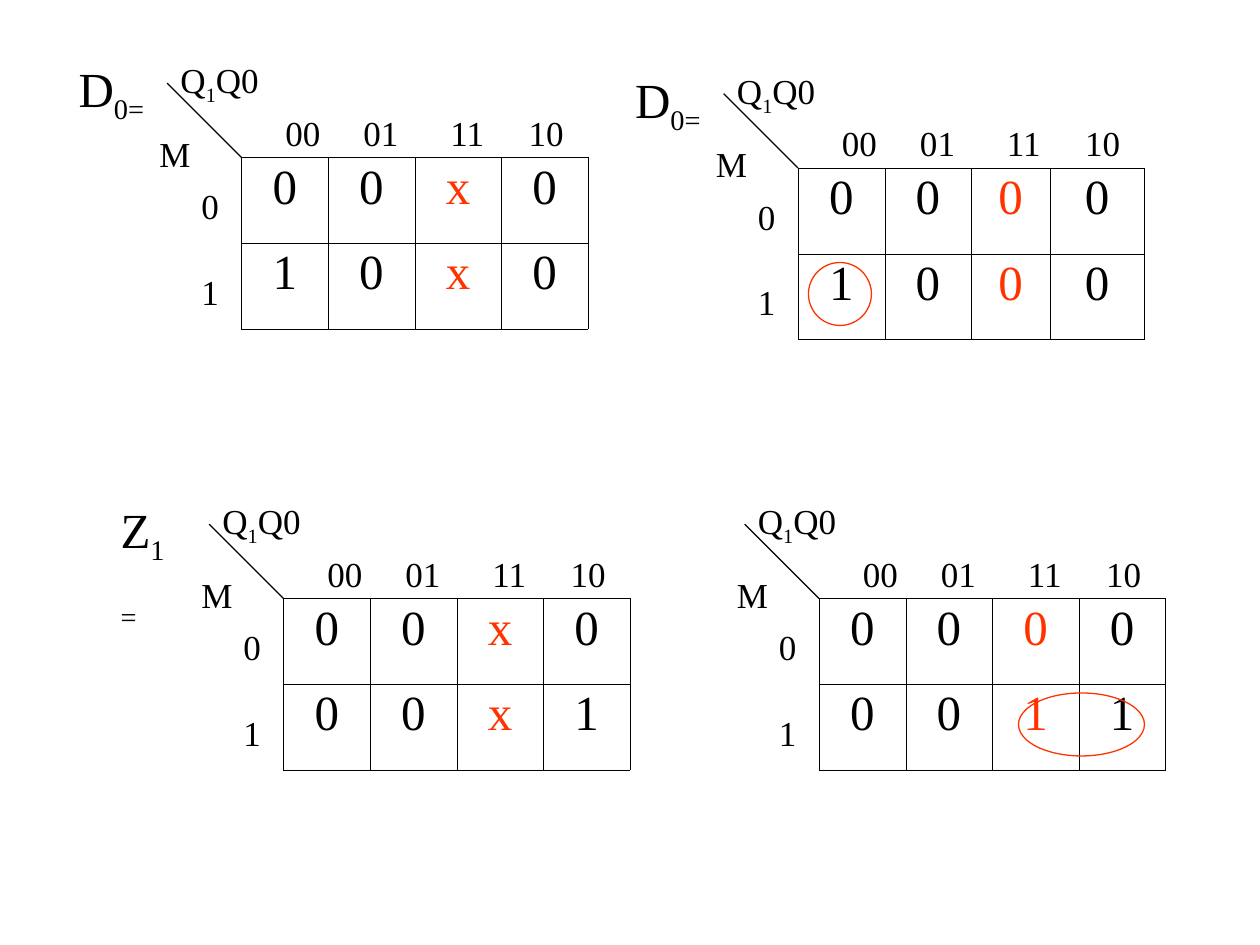
"""Builds a slide of four Karnaugh maps for D0 and Z1."""
from lxml import etree
from pptx import Presentation
from pptx.dml.color import RGBColor
from pptx.enum.shapes import MSO_CONNECTOR, MSO_SHAPE
from pptx.enum.text import PP_ALIGN
from pptx.oxml.ns import qn
from pptx.util import Inches, Pt

LINE, OVAL = MSO_CONNECTOR.STRAIGHT, MSO_SHAPE.OVAL
MID = PP_ALIGN.CENTER
THEME = {
    "font": "Times New Roman",
    "ink": RGBColor(0, 0, 0),
    "mark": RGBColor(0xFF, 0x33, 0x00),
    "big": Pt(28),
    "small": Pt(20),
    "rule": Pt(0.75),
    "edge": Pt(0.06),
}

deck = Presentation()
deck.slide_width, deck.slide_height = Inches(10), Inches(7.5)
slide = deck.slides.add_slide(deck.slide_layouts[6])
shapes = slide.shapes
UNIT = deck.slide_width / 120
ROW = 8.17
EVEN = [8.25] * 4


def grid(*steps):
    return [round(step * UNIT) for step in steps]


def style(para, size, tone="ink"):
    para.font.name = THEME["font"]
    para.font.size = THEME[size]
    para.font.color.rgb = THEME[tone]


Q = [[("Q", 0), ("1", -25), ("Q0", 0)]]
HEAD = [[("00\t01\t11\t10", 0)]]
SIDE = [[("0", 0)], [("1", 0)]]
TABS = [0.62, 1.31, 1.93]
MAPS = [
    (23, 15, EVEN, ("D", "0=", 8.6), ["00x0", "10x0"], None),
    (76, 16, [8.25, 8.25, 7.5, 9], ("D", "0=", 8.6), ["0000", "1000"], (77, 25, 6, 6)),
    (27, 57, EVEN, ("Z", "1=", 8), ["00x0", "00x1"], None),
    (78, 57, EVEN, None, ["0000", "0011"], (97, 66, 12, 6)),
]

for left, top, cols, name, rows, ring in MAPS:
    frame = shapes.add_table(2, 4, *grid(left, top, sum(cols), 2 * ROW))
    table = frame.table
    table.first_row = table.horz_banding = False
    for col, wide in zip(table.columns, grid(*cols)):
        col.width = wide
    for r, marks in enumerate(rows):
        table.rows[r].height = grid(ROW)[0]
        for c, mark in enumerate(marks):
            cell = table.cell(r, c)
            para = cell.text_frame.paragraphs[0]
            para.text = mark
            para.alignment = MID
            para.line_spacing = 0.93
            style(para, "big", "mark" if c == 2 else "ink")
            props = cell._tc.get_or_add_tcPr()
            for side in ("a:lnL", "a:lnR", "a:lnT", "a:lnB"):
                edge = etree.SubElement(props, qn(side), w=str(THEME["edge"]))
                fill = etree.SubElement(edge, qn("a:solidFill"))
                etree.SubElement(fill, qn("a:srgbClr"), val=str(THEME["ink"]))
            cell.fill.background()

    slash = shapes.add_connector(LINE, *grid(left, top, left - 7.08, top - 7.08))
    slash.line.color.rgb = THEME["ink"]
    slash.line.width = THEME["rule"]
    etree.SubElement(slash._element.spPr, qn("a:effectLst"))

    notes = [
        (-7, -10, 9.84, 5.76, "small", Q, []),
        (-9, -3, 5.4, 5.28, "small", [[("M", 0)]], []),
        (3, -5, 29, 5.28, "small", HEAD, TABS),
        (-5, 2, 4.08, 13.2, "small", SIDE, []),
    ]
    if name:
        base, sub, wide = name
        notes.append((-16.7, -10, wide, 7.56, "big", [[(base, 0), (sub, -25)]], []))
    for dx, dy, wide, high, size, lines, stops in notes:
        box = shapes.add_textbox(*grid(left + dx, top + dy, wide, high))
        text = box.text_frame
        text.word_wrap = bool(stops)
        for i, parts in enumerate(lines):
            para = text.add_paragraph() if i else text.paragraphs[0]
            if i:
                para.space_before = Pt(25)
            if stops:
                tabs = etree.SubElement(para._p.get_or_add_pPr(), qn("a:tabLst"))
                for stop in stops:
                    etree.SubElement(tabs, qn("a:tab"), pos=str(Inches(stop)), algn="l")
            style(para, size)
            for word, shift in parts:
                run = para.add_run()
                run.text = word
                if shift:
                    run._r.get_or_add_rPr().set("baseline", str(shift * 1000))

    if ring:
        loop = shapes.add_shape(OVAL, *grid(*ring))
        loop.shadow.inherit = False
        loop.fill.background()
        loop.line.color.rgb = THEME["mark"]
        loop.line.width = THEME["rule"]

deck.save("out.pptx")
